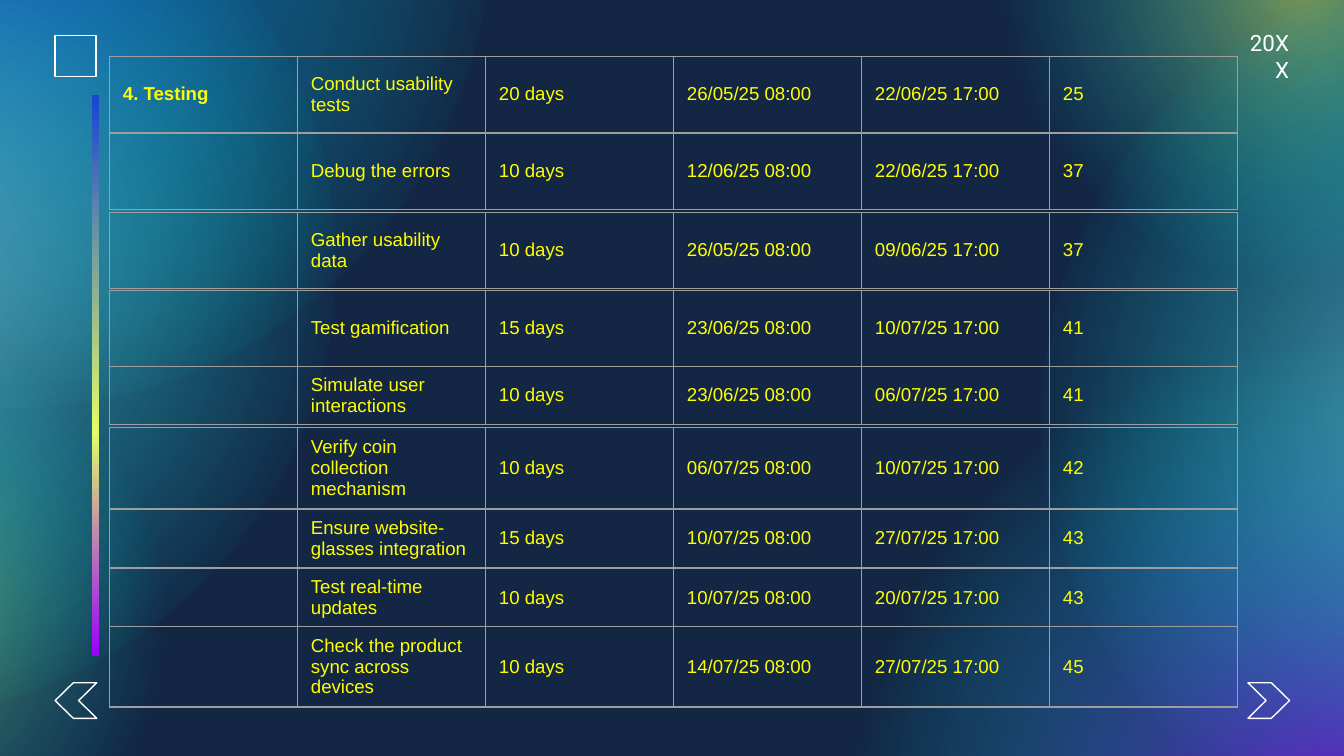
import pptx
import pptx.dml.color
import pptx.enum.shapes
import pptx.enum.text
import pptx.oxml
import pptx.oxml.ns
import pptx.util

SHAPES = pptx.enum.shapes.MSO_SHAPE
COLORS = {
    "navy": "132644", "blue": "1645D3", "cyan": "00FFFF", "red": "FF0000",
    "lime": "E0FE68", "sky": "8AC1DC", "violet": "9900FF", "sage": "7BA29E",
    "white": "FFFFFF", "yellow": "FFFF00", "gray": "9E9E9E",
}
GRID_COLUMNS, GRID_ROWS = 100, 56.25
GRID_UNIT = 0.1
TABLE_LEFT, TABLE_COLUMN = 8.15, 13.99
TALL, SHORT = 5.67, 4.1

GLOWS = [
    (-34.7, -40.8, 70.9, 71.5, "blue", 70, 63),
    (70.1, -28.5, 53.8, 54.2, "lime", 52, 51),
    (77.8, -3.1, 67.6, 68.2, "sky", 70, 63),
    (56.2, 17.7, 86.9, 87.6, "violet", 66, 51),
    (-42.9, -14.5, 67.6, 68.2, "sky", 70, 63),
    (-37.1, 19, 53.8, 54.2, "lime", 52, 51),
]
TASKS = [
    (4.2, TALL, "4. Testing", "Conduct usability tests", "20 days", "26/05/25 08:00", "22/06/25 17:00", "25"),
    (9.9, TALL, "", "Debug the errors", "10 days", "12/06/25 08:00", "22/06/25 17:00", "37"),
    (15.8, TALL, "", "Gather usability data", "10 days", "26/05/25 08:00", "09/06/25 17:00", "37"),
    (21.6, TALL, "", "Test gamification", "15 days", "23/06/25 08:00", "10/07/25 17:00", "41"),
    (27.25, SHORT, "", "Simulate user interactions", "10 days", "23/06/25 08:00", "06/07/25 17:00", "41"),
    (31.8, TALL, "", "Verify coin collection mechanism", "10 days", "06/07/25 08:00", "10/07/25 17:00", "42"),
    (37.9, SHORT, "", "Ensure website-glasses integration", "15 days", "10/07/25 08:00", "27/07/25 17:00", "43"),
    (42.3, SHORT, "", "Test real-time updates", "10 days", "10/07/25 08:00", "20/07/25 17:00", "43"),
    (46.6, TALL, "", "Check the product sync across devices", "10 days", "14/07/25 08:00", "27/07/25 17:00", "45"),
]


def grid(*counts):
    return [pptx.util.Inches(count * GRID_UNIT) for count in counts]


def color(name):
    return pptx.dml.color.RGBColor.from_string(COLORS[name])


def set_font(paragraph, name, size, color_name, bold=False):
    font = paragraph.font
    font.name = name
    font.size = pptx.util.Pt(size)
    font.bold = bold
    font.color.rgb = color(color_name)


def add_figure(page, kind, box, rotation=0):
    shape = page.shapes.add_shape(kind, *grid(*box))
    shape.shadow.inherit = False
    shape.rotation = rotation
    shape.fill.background()
    shape.line.fill.background()
    return shape


def fill_gradient(shape, stops, direction):
    stop_xml = "".join(
        f'<a:gs pos="{position * 1000}"><a:srgbClr val="{COLORS[name]}">'
        f'<a:alpha val="{opacity * 1000}"/></a:srgbClr></a:gs>'
        for position, name, opacity in stops
    )
    gradient = pptx.oxml.parse_xml(
        f'<a:gradFill {pptx.oxml.ns.nsdecls("a")} rotWithShape="1">'
        f"<a:gsLst>{stop_xml}</a:gsLst>{direction}</a:gradFill>"
    )
    properties = shape.element.spPr
    properties.replace(properties.find(pptx.oxml.ns.qn("a:noFill")), gradient)


def add_glow(page, left, top, width, height, name, opacity, fade):
    glow = add_figure(page, SHAPES.OVAL, (left, top, width, height), 80.3)
    direction = '<a:path path="circle"><a:fillToRect l="50000" t="50000" r="50000" b="50000"/></a:path>'
    fill_gradient(glow, [(0, name, opacity), (fade, "cyan", 0), (100, "red", 0)], direction)


def add_side_bar(page):
    bar = add_figure(page, SHAPES.RECTANGLE, (-13.8, 27.7, 41.8, 0.5), 90)
    stops = [(0, "violet", 100), (40, "lime", 100), (70, "sage", 100), (100, "blue", 100)]
    fill_gradient(bar, stops, '<a:lin ang="10800000" scaled="0"/>')


def add_outline(page, kind, box, rotation=0):
    shape = add_figure(page, kind, box, rotation)
    shape.line.color.rgb = color("white")
    shape.line.width = pptx.util.Pt(0.75)
    return shape


def add_arrow(page, left, rotation):
    arrow = add_outline(page, SHAPES.CHEVRON, (left, 50.8, 3.1, 2.65), rotation)
    arrow.adjustments[0] = 0.51


def add_year(page):
    box = page.shapes.add_textbox(*grid(91.8, 1.4, 5.1, 5.6))
    frame = box.text_frame
    frame.word_wrap = True
    frame.vertical_anchor = pptx.enum.text.MSO_ANCHOR.MIDDLE
    frame.margin_left = frame.margin_right = frame.margin_top = frame.margin_bottom = grid(1)[0]
    para = frame.paragraphs[0]
    para.text = "20XX"
    para.alignment = pptx.enum.text.PP_ALIGN.RIGHT
    set_font(para, "Roboto", 12, "white")


def style_cell(cell):
    properties = cell._tc.get_or_add_tcPr()
    for side in ("lnL", "lnR", "lnT", "lnB"):
        properties.append(pptx.oxml.parse_xml(
            f'<a:{side} {pptx.oxml.ns.nsdecls("a")} w="{pptx.util.Pt(0.75)}">'
            f'<a:solidFill><a:srgbClr val="{COLORS["gray"]}"/></a:solidFill></a:{side}>'
        ))
    cell.fill.background()
    cell.vertical_anchor = pptx.enum.text.MSO_ANCHOR.MIDDLE


def add_task(page, top, height, *texts):
    box = grid(TABLE_LEFT, top, TABLE_COLUMN * len(texts), height)
    table = page.shapes.add_table(1, len(texts), *box).table
    table.first_row = table.horz_banding = False
    for index, text in enumerate(texts):
        table.columns[index].width = grid(TABLE_COLUMN)[0]
        cell = table.cell(0, index)
        style_cell(cell)
        if text:
            cell.text = text
            set_font(cell.text_frame.paragraphs[0], "Arial", 10, "yellow", bold=index == 0)


def main():
    deck = pptx.Presentation()
    deck.slide_width, deck.slide_height = grid(GRID_COLUMNS, GRID_ROWS)
    page = deck.slides.add_slide(deck.slide_layouts[6])
    page.background.fill.solid()
    page.background.fill.fore_color.rgb = color("navy")
    for glow in GLOWS:
        add_glow(page, *glow)
    add_side_bar(page)
    add_year(page)
    add_arrow(page, 92.85, 0)
    add_arrow(page, 4.1, 180)
    add_outline(page, SHAPES.RECTANGLE, (4.1, 2.65, 3.05, 3.05))
    for task in TASKS:
        add_task(page, *task)
    deck.save("out.pptx")


if __name__ == "__main__":
    main()
